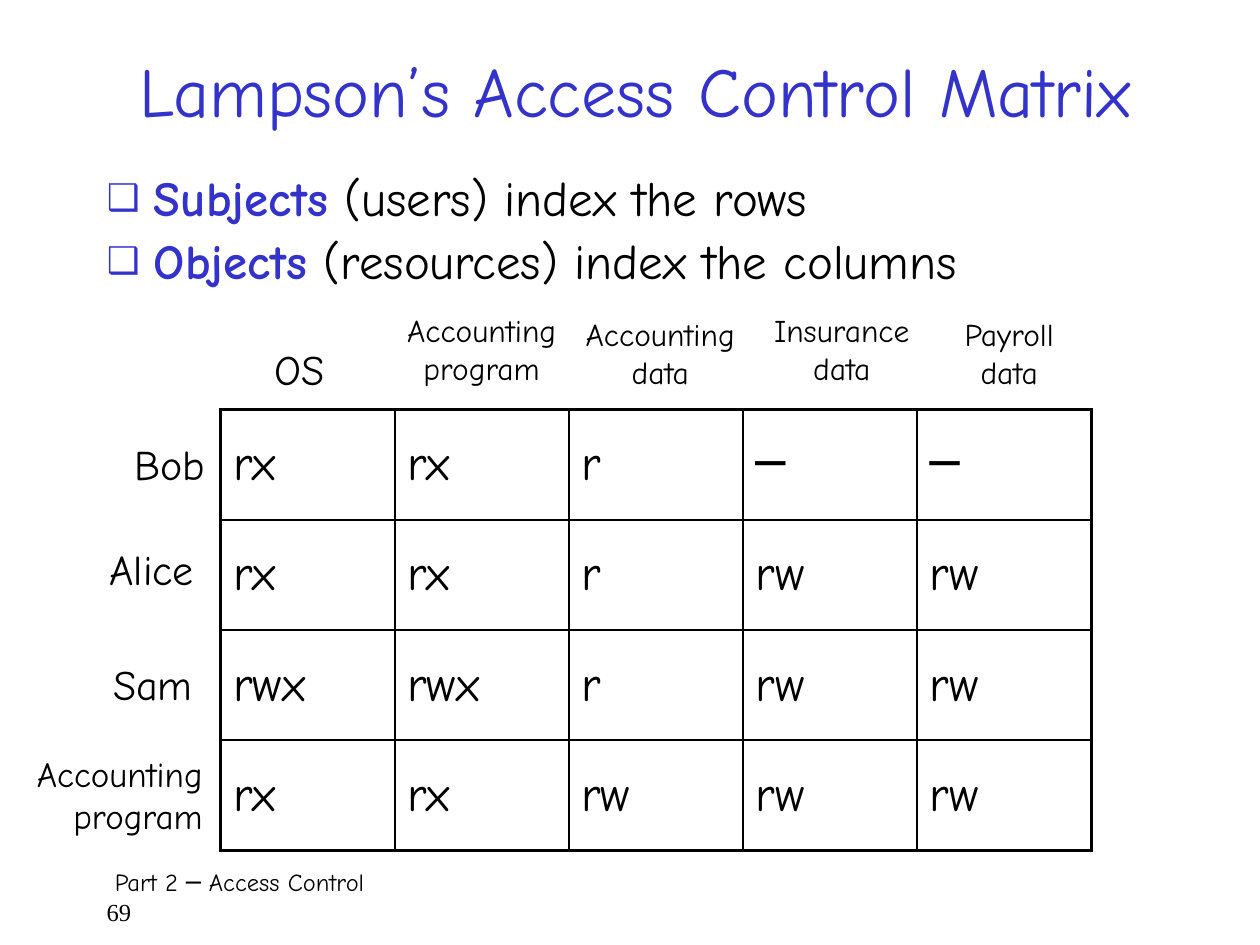
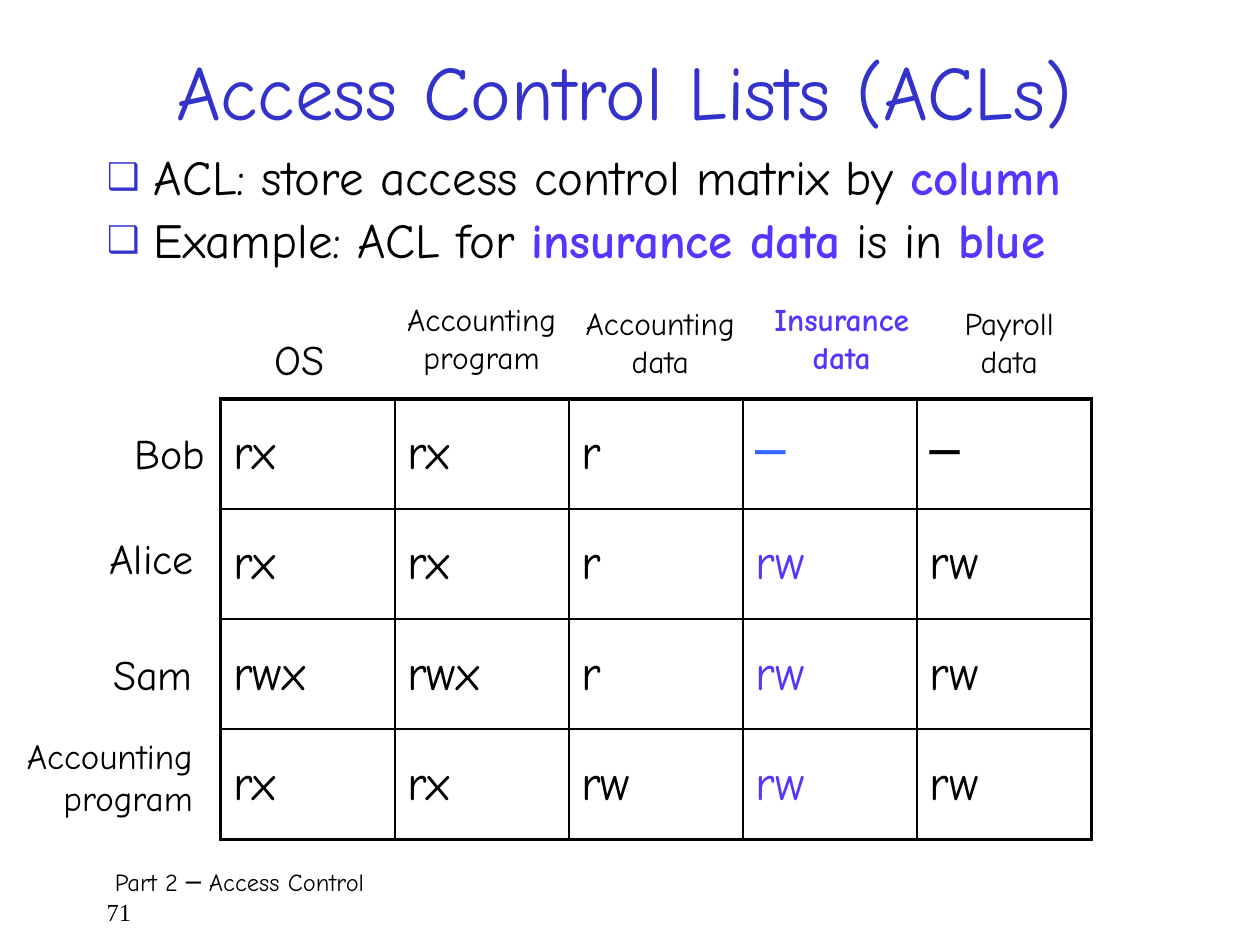
from dataclasses import dataclass
from typing import Optional

from lxml.etree import SubElement
from pptx import Presentation
from pptx.dml.color import RGBColor
from pptx.enum.text import MSO_ANCHOR, MSO_AUTO_SIZE, PP_ALIGN
from pptx.oxml.ns import qn
from pptx.util import Cm, Pt


@dataclass(frozen=True)
class Theme:
    font: str = "Comic Neue"
    serif: str = "Times New Roman"
    ink: str = "000000"
    blue: str = "3333CC"
    violet: str = "5437FF"
    sky: str = "3366FF"
    paper: str = "FFFFFF"
    text: int = 28
    name: int = 24
    pair: int = 20
    head: int = 18
    foot: int = 14
    thin: float = 1
    thick: float = 2.25


@dataclass(frozen=True)
class Box:
    left: float
    top: float
    width: float
    height: float


@dataclass(frozen=True)
class Run:
    text: str
    color: str = Theme.ink
    bold: bool = False


@dataclass(frozen=True)
class Label:
    """A row or column name; its top is measured from the grid top."""
    lines: tuple[str, ...]
    box: Box
    size: int
    align: PP_ALIGN


@dataclass(frozen=True)
class Page:
    title: str
    size: int
    head: Box
    body: Box
    points: list[list[Run]]
    top: float
    last: Box
    number: str
    accent: Optional[int] = None


T = Theme()
LEFT, CENTER, RIGHT = PP_ALIGN.LEFT, PP_ALIGN.CENTER, PP_ALIGN.RIGHT

# Access matrix: one row per subject, one column per object
RIGHTS = [
    ["rx", "rx", "r", "─", "─"],
    ["rx", "rx", "r", "rw", "rw"],
    ["rwx", "rwx", "r", "rw", "rw"],
    ["rx", "rx", "rw", "rw", "rw"],
]
GRID_LEFT, COL, ROW = 4.45, 3.51, 2.22

HEADS = [
    Label(("OS",), Box(5.29, -1.45, 1.78, 1.45), T.name, LEFT),
    Label(("Accounting", "program"), Box(7.83, -2.11, 3.76, 2.03), T.head, CENTER),
    Label(("Accounting", "data"), Box(11.43, -2.03, 3.76, 2.03), T.head, CENTER),
    Label(("Insurance", "data"), Box(15.24, -2.11, 3.46, 2.03), T.head, CENTER),
    Label(("Payroll", "data"), Box(19.1, -2.03, 2.49, 2.03), T.head, CENTER),
]
USERS = [
    Label(("Bob",), Box(2.46, 0.46, 1.98, 1.45), T.name, LEFT),
    Label(("Alice",), Box(1.96, 2.58, 2.49, 1.45), T.name, LEFT),
    Label(("Sam",), Box(2.03, 4.9, 2.18, 1.45), T.name, LEFT),
]
FOOT = Box(1.9, 17.36, 21.8, 1.27)

PAGES = [
    Page("Lampson’s Access Control Matrix", 40,
         Box(0.84, 0.64, 23.92, 2.33), Box(1.9, 3.39, 22.23, 2.75),
         [[Run("Subjects", T.blue, True), Run(" (users) index the rows")],
          [Run("Objects", T.blue, True), Run(" (resources) index the columns")]],
         8.26, Box(0.2, 6.78, 4.14, 2.24), "69"),
    Page("Access Control Lists (ACLs)", 44,
         Box(1.69, 0.85, 21.8, 1.9), Box(1.9, 2.97, 21.8, 3.18),
         [[Run("ACL: store access control matrix by "), Run("column", T.violet, True)],
          [Run("Example: ACL for "), Run("insurance data", T.violet, True),
           Run(" is in "), Run("blue", T.violet, True)]],
         8.04, Box(0, 6.65, 4.14, 2.24), "71", accent=3),
]


def place(shape, box: Box) -> None:
    shape.left, shape.top = Cm(box.left), Cm(box.top)
    shape.width, shape.height = Cm(box.width), Cm(box.height)


def write(para, run: Run, size: int, face: str = T.font) -> None:
    part = para.add_run()
    part.text = run.text
    font = part.font
    font.name, font.size, font.bold = face, Pt(size), run.bold
    font.color.rgb = RGBColor.from_string(run.color)


def line(frame, first: bool):
    return frame.paragraphs[0] if first else frame.add_paragraph()


def bullet(para) -> None:
    props = para._p.get_or_add_pPr()
    props.set("marL", str(Cm(0.95)))
    props.set("indent", str(-Cm(0.95)))
    tint = SubElement(props, qn("a:buClr"))
    SubElement(tint, qn("a:srgbClr"), val=T.blue)
    SubElement(props, qn("a:buSzPct"), val="75000")
    SubElement(props, qn("a:buChar"), char="❑")


def draw_title(slide, page: Page) -> None:
    shape = slide.shapes.title
    place(shape, page.head)
    frame = shape.text_frame
    frame.auto_size = MSO_AUTO_SIZE.NONE
    frame.vertical_anchor = MSO_ANCHOR.MIDDLE
    para = frame.paragraphs[0]
    para.alignment = CENTER
    write(para, Run(page.title, T.blue), page.size)


def draw_body(slide, page: Page) -> None:
    shape = slide.placeholders[1]
    place(shape, page.body)
    frame = shape.text_frame
    frame.auto_size = MSO_AUTO_SIZE.NONE
    for i, runs in enumerate(page.points):
        para = line(frame, i == 0)
        para.line_spacing = 0.9
        bullet(para)
        for run in runs:
            write(para, run, T.text)


def draw_label(slide, label: Label, top: float, hot: bool = False) -> None:
    box = label.box
    shape = slide.shapes.add_textbox(Cm(box.left), Cm(top + box.top),
                                     Cm(box.width), Cm(box.height))
    frame = shape.text_frame
    frame.word_wrap = False
    frame.auto_size = MSO_AUTO_SIZE.SHAPE_TO_FIT_TEXT
    for i, text in enumerate(label.lines):
        para = line(frame, i == 0)
        para.alignment = label.align
        write(para, Run(text, T.violet if hot else T.ink, hot), label.size)


def border(cell, edges: dict[str, bool]) -> None:
    props = cell._tc.get_or_add_tcPr()
    for side, outer in edges.items():
        width = Pt(T.thick if outer else T.thin)
        rule = SubElement(props, qn(f"a:ln{side}"), w=str(width))
        fill = SubElement(rule, qn("a:solidFill"))
        SubElement(fill, qn("a:srgbClr"), val=T.ink)


def draw_grid(slide, page: Page) -> None:
    rows, cols = len(RIGHTS), len(HEADS)
    table = slide.shapes.add_table(rows, cols, Cm(GRID_LEFT), Cm(page.top),
                                   Cm(cols * COL), Cm(rows * ROW)).table
    table.first_row = table.horz_banding = False
    for col in table.columns:
        col.width = Cm(COL)
    for r, rights in enumerate(RIGHTS):
        table.rows[r].height = Cm(ROW)
        for c, text in enumerate(rights):
            cell = table.cell(r, c)
            border(cell, {"L": c == 0, "R": c == cols - 1,
                          "T": r == 0, "B": r == rows - 1})
            cell.fill.background()
            cell.vertical_anchor = MSO_ANCHOR.MIDDLE
            para = cell.text_frame.paragraphs[0]
            gap = SubElement(para._p.get_or_add_pPr(), qn("a:spcBef"))
            SubElement(gap, qn("a:spcPct"), val="20000")
            color = T.ink
            if c == page.accent:
                color = T.sky if text == "─" else T.violet
            write(para, Run(text, color), T.text)


def draw_foot(slide, page: Page) -> None:
    shape = slide.shapes.add_textbox(0, 0, 0, 0)
    place(shape, FOOT)
    frame = shape.text_frame
    frame.word_wrap = True
    write(frame.paragraphs[0], Run(" Part 2 ─ Access Control"), T.foot)
    write(frame.add_paragraph(), Run(page.number), T.foot, T.serif)


def draw_page(deck, page: Page) -> None:
    slide = deck.slides.add_slide(deck.slide_layouts[1])
    fill = slide.background.fill
    fill.solid()
    fill.fore_color.rgb = RGBColor.from_string(T.paper)
    draw_foot(slide, page)
    draw_title(slide, page)
    draw_body(slide, page)
    draw_grid(slide, page)
    for c, head in enumerate(HEADS):
        draw_label(slide, head, page.top, c == page.accent)
    last = Label(("Accounting", "program"), page.last, T.pair, RIGHT)
    for user in [*USERS, last]:
        draw_label(slide, user, page.top)


def main() -> None:
    deck = Presentation()
    deck.slide_width, deck.slide_height = Cm(25.4), Cm(19.05)
    for page in PAGES:
        draw_page(deck, page)
    deck.save("out.pptx")


if __name__ == "__main__":
    main()
